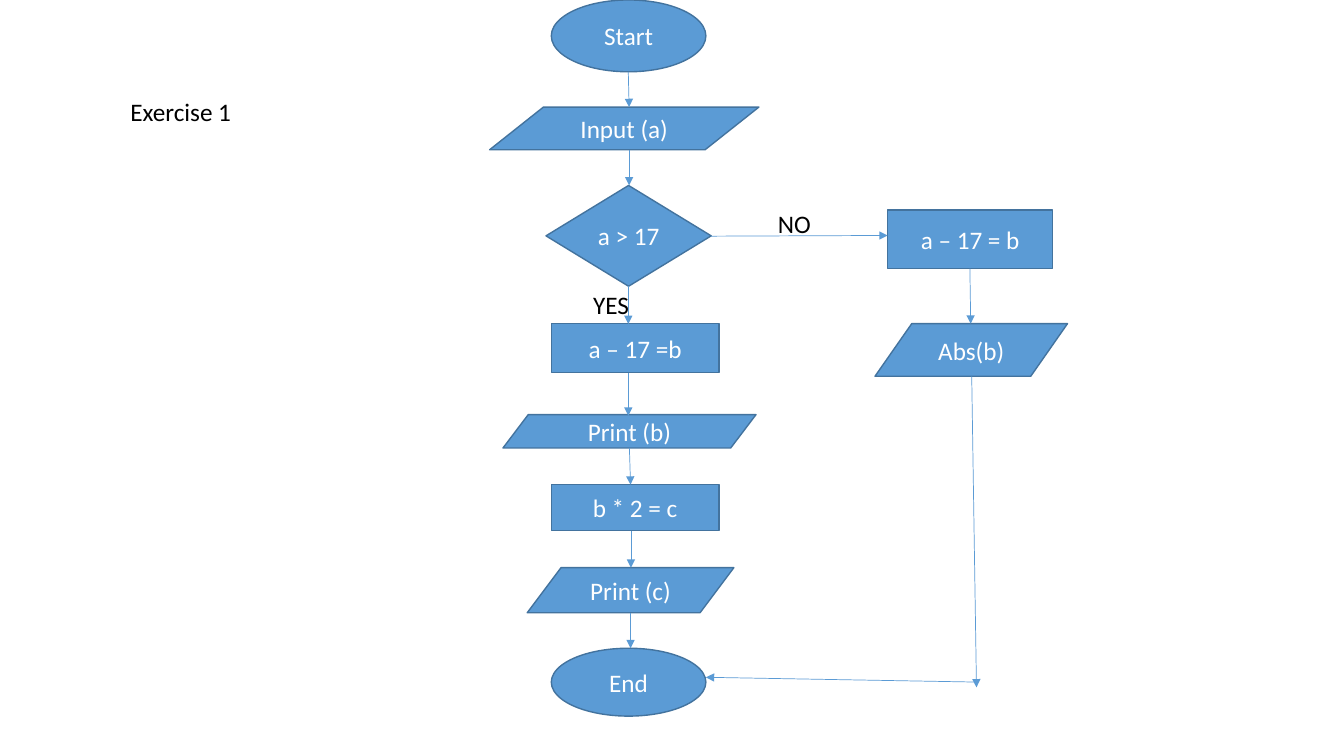
"""Build the Exercise 1 flowchart slide."""
from pptx import Presentation
from pptx.dml.color import RGBColor
from pptx.enum import shapes, text
from pptx.oxml import ns, xmlchemy
from pptx.util import Pt

BLUE = RGBColor(0x5B, 0x9B, 0xD5)
OUTLINE = RGBColor(0x43, 0x73, 0x9E)
WHITE = RGBColor(0xFF, 0xFF, 0xFF)
BLACK = RGBColor(0x00, 0x00, 0x00)
KIND = shapes.MSO_SHAPE


def write(frame, wording, color, align):
    frame.text = wording
    line = frame.paragraphs[0]
    line.alignment = align
    line.font.name = "Calibri"
    line.font.size = Pt(18)
    line.font.color.rgb = color


deck = Presentation()
deck.slide_width, deck.slide_height = Pt(960), Pt(540)
slide = deck.slides.add_slide(deck.slide_layouts[6])

steps = [
    ("Start", KIND.OVAL, 393.8, 0, 110.4, 51.3, None),
    ("Input (a)", KIND.FLOWCHART_DATA, 349.7, 76.5, 192.4, 30.5, None),
    ("a > 17", KIND.DIAMOND, 390, 132.5, 118, 72, None),
    ("a – 17 =b", KIND.RECTANGLE, 393.8, 231.2, 119.8, 34.9, None),
    ("Print (b)", KIND.PARALLELOGRAM, 359.3, 296.2, 180.7, 23.8, 0.758),
    ("b * 2 = c", KIND.RECTANGLE, 393.8, 346.2, 119.8, 32.8, None),
    ("Print (c)", KIND.PARALLELOGRAM, 376.6, 405.5, 147.6, 32.2, 0.75),
    ("End", KIND.OVAL, 393.8, 463, 110.4, 48.5, None),
    ("a – 17 = b", KIND.RECTANGLE, 634, 149.9, 118, 41.9, None),
    ("Abs(b)", KIND.PARALLELOGRAM, 625, 231.2, 137.5, 37.6, 0.699),
]
for wording, kind, left, top, width, height, slant in steps:
    step = slide.shapes.add_shape(kind, Pt(left), Pt(top), Pt(width), Pt(height))
    step.shadow.inherit = False
    step.fill.solid()
    step.fill.fore_color.rgb = BLUE
    step.line.color.rgb = OUTLINE
    step.line.width = Pt(1)
    if slant:
        step.adjustments[0] = slant
    step.text_frame.vertical_anchor = text.MSO_ANCHOR.MIDDLE
    write(step.text_frame, wording, WHITE, text.PP_ALIGN.CENTER)

flows = [
    (448.8, 51.3, 449.4, 76.5),
    (449.4, 107, 449.4, 132.5),
    (448.8, 204.5, 448.8, 231.5),
    (448.8, 266.1, 448.8, 297),
    (449.6, 320, 450.4, 346.2),
    (450.7, 379, 450.7, 405.5),
    (450.4, 437.7, 450.4, 463),
    (508, 168.7, 634, 168.2),
    (692.8, 191.8, 693.4, 231.2),
    (694.1, 268.8, 697.5, 491),
    (697.5, 487.2, 504.2, 483.8),
]
for start_x, start_y, end_x, end_y in flows:
    arrow = slide.shapes.add_connector(
        shapes.MSO_CONNECTOR.STRAIGHT, Pt(start_x), Pt(start_y), Pt(end_x), Pt(end_y))
    arrow.line.color.rgb = BLUE
    arrow.line.width = Pt(0.5)
    head = xmlchemy.OxmlElement("a:tailEnd")
    head.set("type", "triangle")
    arrow.line._get_or_add_ln().append(head)
    arrow._element.spPr.append(arrow._element.spPr.makeelement(ns.qn("a:effectLst")))

labels = [
    ("Exercise 1", 86, 65, 200, True),
    ("NO", 548.5, 145, 38.5, False),
    ("YES", 416.5, 202.9, 40.5, False),
]
for wording, left, top, width, wraps in labels:
    label = slide.shapes.add_textbox(Pt(left), Pt(top), Pt(width), Pt(29)).text_frame
    label.word_wrap = wraps
    label.auto_size = text.MSO_AUTO_SIZE.SHAPE_TO_FIT_TEXT
    write(label, wording, BLACK, text.PP_ALIGN.LEFT)

deck.save("out.pptx")
